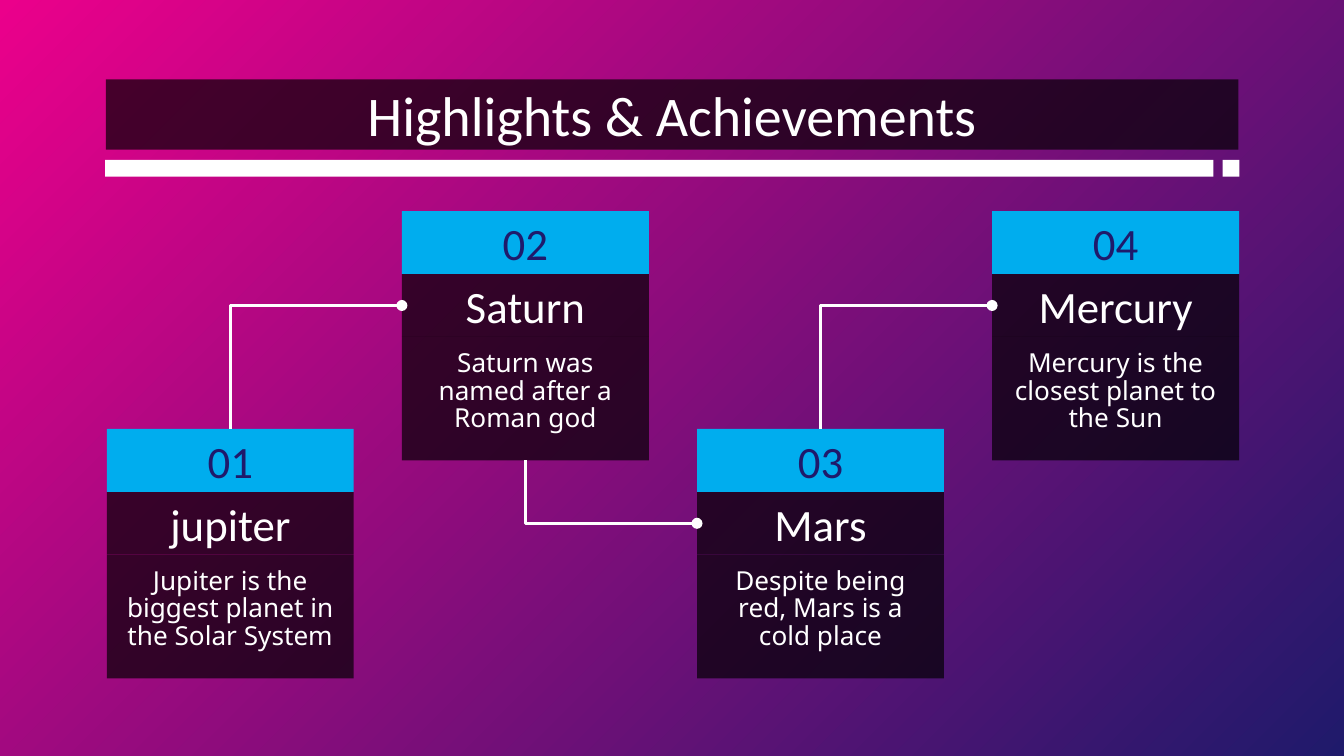
from lxml import etree
from pptx import Presentation
from pptx.dml.color import RGBColor
from pptx.enum import shapes, text
from pptx.oxml import ns
from pptx.util import Pt


def rgb(value):
    return RGBColor.from_string(value)


def add_block(left, top, width, height, words="", fill="000000", opacity=None, size=24,
              font="Calibri", color="FFFFFF", anchor=text.MSO_ANCHOR.MIDDLE, spacing=None):
    block = slide.shapes.add_shape(shapes.MSO_SHAPE.RECTANGLE, Pt(left), Pt(top), Pt(width), Pt(height))
    block.shadow.inherit = False
    block.line.fill.background()
    block.fill.solid()
    block.fill.fore_color.rgb = rgb(fill)
    if opacity:
        shade = block.element.spPr.find(".//" + ns.qn("a:srgbClr"))
        etree.SubElement(shade, ns.qn("a:alpha"), val=str(opacity * 1000))
    if words:
        frame = block.text_frame
        frame.word_wrap = True
        frame.vertical_anchor = anchor
        frame.margin_left = frame.margin_right = frame.margin_top = frame.margin_bottom = Pt(7.2)
        paragraph = frame.paragraphs[0]
        paragraph.text = words
        paragraph.alignment = text.PP_ALIGN.CENTER
        paragraph.line_spacing = spacing
        paragraph.font.size = Pt(size)
        paragraph.font.name = font
        paragraph.font.color.rgb = rgb(color)
    return block


deck = Presentation()
deck.slide_width, deck.slide_height = Pt(720), Pt(405)
slide = deck.slides.add_slide(deck.slide_layouts[6])

backdrop = slide.background.fill
backdrop.gradient()
for stop, shade in zip(backdrop.gradient_stops, ["EB008B", "1F1A6B"]):
    stop.color.rgb = rgb(shade)
linear = slide.element.find(".//" + ns.qn("a:lin"))
radial = etree.Element(ns.qn("a:path"), {"path": "circle"})
etree.SubElement(radial, ns.qn("a:fillToRect"), r="100000", b="100000")
linear.getparent().replace(linear, radial)

add_block(56.8, 42.6, 606.6, 37.6, "Highlights & Achievements", opacity=68, size=30)
add_block(56.3, 85.7, 593.8, 9, fill="FFFFFF")
add_block(655, 85.7, 9, 9, fill="FFFFFF")

planets = [
    ("jupiter", "Jupiter is the biggest planet in the Solar System"),
    ("Saturn", "Saturn was named after a Roman god"),
    ("Mars", "Despite being red, Mars is a cold place"),
    ("Mercury", "Mercury is the closest planet to the Sun"),
]
first_left, pitch, card_width = 57.2, 158.1, 132.3
row_height, fact_height = 33.7, 66.2
low_top, high_top = 229.8, 113.1

cards = []
for index, (planet, fact) in enumerate(planets):
    left = first_left + index * pitch
    top = high_top if index % 2 else low_top
    name = add_block(left, top + row_height, card_width, row_height, planet, opacity=68)
    detail = add_block(left, top + 2 * row_height, card_width, fact_height, fact, opacity=68, size=14,
                       font="Noto Sans", anchor=text.MSO_ANCHOR.TOP, spacing=0.88)
    number = add_block(left, top, card_width, row_height, f"{index + 1:02}", fill="00ADEE", color="1F1A6B")
    cards.append((number, name, detail))

for index, (card, following) in enumerate(zip(cards, cards[1:])):
    descends = index % 2 == 1
    source, target = card[2 if descends else 0], following[1]
    start_x = source.left + source.width // 2
    start_y = source.top + source.height if descends else source.top
    end_x, end_y = target.left, target.top + target.height // 2
    across, down = end_x - start_x, abs(end_y - start_y)

    link = slide.shapes.add_connector(shapes.MSO_CONNECTOR.ELBOW, start_x, start_y, end_x, end_y)
    link.begin_connect(source, 2 if descends else 0)
    link.end_connect(target, 1)
    link.left = (start_x + end_x - down) // 2
    link.top = (start_y + end_y - across) // 2
    link.width, link.height = down, across
    link.line.color.rgb = rgb("FFFFFF")
    link.line.width = Pt(1.5)

    properties = link.element.spPr
    frame = properties.find(ns.qn("a:xfrm"))
    frame.attrib.clear()
    frame.set("rot", "16200000")
    if descends:
        frame.set("flipH", "1")
    properties.find(ns.qn("a:prstGeom")).set("prst", "bentConnector2")
    etree.SubElement(properties.find(ns.qn("a:ln")), ns.qn("a:tailEnd"), type="oval")
    etree.SubElement(properties, ns.qn("a:effectLst"))

deck.save("out.pptx")
